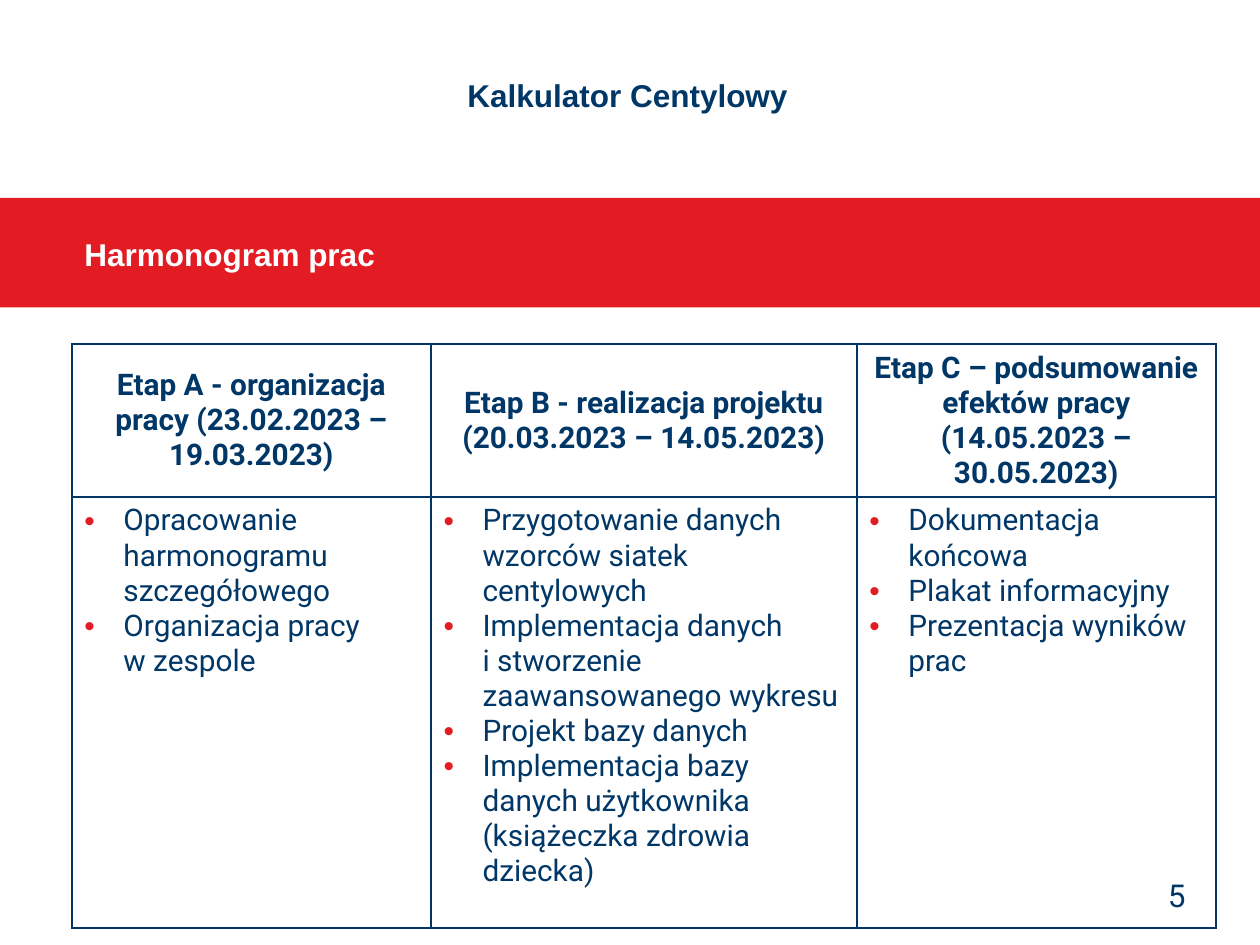
from lxml import etree
from pptx import Presentation
from pptx.dml.color import RGBColor
from pptx.enum.shapes import MSO_SHAPE
from pptx.enum.text import MSO_ANCHOR, MSO_AUTO_SIZE, PP_ALIGN
from pptx.oxml.ns import qn
from pptx.util import Inches, Pt

RECTANGLE = MSO_SHAPE.RECTANGLE
TOP, MIDDLE = MSO_ANCHOR.TOP, MSO_ANCHOR.MIDDLE
LEFT, CENTER = PP_ALIGN.LEFT, PP_ALIGN.CENTER
NO_RESIZE = MSO_AUTO_SIZE.NONE

NAVY, RED, WHITE = "003767", "E31B23", "FFFFFF"
UNIT = 0.1  # inches per grid step: 100 columns by 75 rows

HEADING = {"name": "Arial", "size": Pt(18), "bold": True}
PAGE_NUMBER = {"name": "Roboto", "size": Pt(18), "bold": False}
STAGE_HEAD = {"name": "Roboto", "size": Pt(17), "bold": True}
STAGE_TASK = {**STAGE_HEAD, "bold": False}

STAGES = [
    (["Etap A - organizacja pracy (23.02.2023 – 19.03.2023)"],
     ["Opracowanie harmonogramu szczegółowego",
      "Organizacja pracy\nw zespole"]),
    (["Etap B - realizacja projektu", "(20.03.2023 – 14.05.2023)"],
     ["Przygotowanie danych wzorców siatek centylowych",
      "Implementacja danych\ni stworzenie zaawansowanego wykresu",
      "Projekt bazy danych",
      "Implementacja bazy danych użytkownika (książeczka zdrowia dziecka)"]),
    (["Etap C – podsumowanie efektów pracy", "(14.05.2023 – 30.05.2023)"],
     ["Dokumentacja końcowa", "Plakat informacyjny",
      "Prezentacja wyników prac"]),
]


def color(value):
    return RGBColor.from_string(value)


def grid(steps):
    return Inches(steps * UNIT)


class SlideBuilder:
    """Holds the deck's style and the current slide."""

    def __init__(self, deck):
        self.page = deck.slides.add_slide(deck.slide_layouts[0])

    def add_text(self, frame, texts, style, ink=NAVY, align=LEFT, spacing=1.0,
                 bullet=None):
        for index, text in enumerate(texts):
            para = frame.paragraphs[0] if index == 0 else frame.add_paragraph()
            if bullet:
                self.add_bullet(para, bullet)
            layout = {"alignment": align, "line_spacing": spacing,
                      "space_before": Pt(0)}
            for name, value in layout.items():
                setattr(para, name, value)
            for number, line in enumerate(text.split("\n")):
                if number:
                    para.add_line_break()
                span = para.add_run()
                span.text = line
                for name, value in style.items():
                    setattr(span.font, name, value)
                span.font.color.rgb = color(ink)

    def add_bullet(self, para, ink):
        properties = para._p.get_or_add_pPr()
        properties.set("marL", str(grid(3.1)))
        properties.set("indent", str(-grid(3.1)))
        tint = etree.SubElement(properties, qn("a:buClr"))
        etree.SubElement(tint, qn("a:srgbClr"), val=ink)
        etree.SubElement(properties, qn("a:buFont"), typeface="Arial")
        etree.SubElement(properties, qn("a:buChar"), char="•")

    def band(self, *area, fill):
        box = self.page.shapes.add_shape(RECTANGLE, *map(grid, area))
        box.shadow.inherit = False
        box.fill.solid()
        box.fill.fore_color.rgb = color(fill)
        box.line.fill.background()

    def placeholder(self, index, text, *area, ink):
        box = self.page.placeholders[index]
        for name, steps in zip(("left", "top", "width", "height"), area):
            setattr(box, name, grid(steps))
        frame = box.text_frame
        settings = {"word_wrap": True, "vertical_anchor": TOP,
                    "auto_size": NO_RESIZE}
        for name, value in settings.items():
            setattr(frame, name, value)
        self.add_text(frame, [text], HEADING, ink, spacing=0.9)

    def label(self, text, *area):
        box = self.page.shapes.add_textbox(*map(grid, area))
        box.text_frame.word_wrap = True
        self.add_text(box.text_frame, [text], PAGE_NUMBER)

    def border(self, cell, ink):
        properties = cell._tc.get_or_add_tcPr()
        for side in ("a:lnL", "a:lnR", "a:lnT", "a:lnB"):
            line = etree.SubElement(properties, qn(side), w=str(Pt(1)))
            fill = etree.SubElement(line, qn("a:solidFill"))
            etree.SubElement(fill, qn("a:srgbClr"), val=ink)
        cell.fill.background()

    def schedule(self, stages, left, top, widths, heights):
        area = (left, top, sum(widths), sum(heights))
        table = self.page.shapes.add_table(
            len(heights), len(widths), *map(grid, area)).table
        for row, height in zip(table.rows, heights):
            row.height = grid(height)
        for index, (width, (head, tasks)) in enumerate(zip(widths, stages)):
            table.columns[index].width = grid(width)
            head_cell, task_cell = table.cell(0, index), table.cell(1, index)
            for cell in (head_cell, task_cell):
                self.border(cell, NAVY)
            head_cell.vertical_anchor = MIDDLE
            self.add_text(head_cell.text_frame, head, STAGE_HEAD, align=CENTER)
            self.add_text(task_cell.text_frame, tasks, STAGE_TASK, bullet=RED)


def main():
    deck = Presentation()
    deck.slide_width, deck.slide_height = grid(100), grid(75)
    slide = SlideBuilder(deck)
    slide.band(0, 15.7, 100, 8.7, fill=RED)
    slide.label("5", 91.7, 69, 5.1, 4)
    slide.placeholder(0, "Kalkulator Centylowy", 36.1, 5.9, 63.2, 3.1, ink=NAVY)
    slide.placeholder(1, "Harmonogram prac", 5.7, 18.5, 45.8, 4.4, ink=WHITE)
    # Placeholders come first in the tree, so they move in front of the band.
    tree = slide.page.shapes._spTree
    for box in list(slide.page.placeholders):
        tree.append(box._element)
    slide.schedule(STAGES, 5.7, 27.3, (28.5, 33.8, 28.5), (12.1, 34.2))
    deck.save("out.pptx")


if __name__ == "__main__":
    main()
